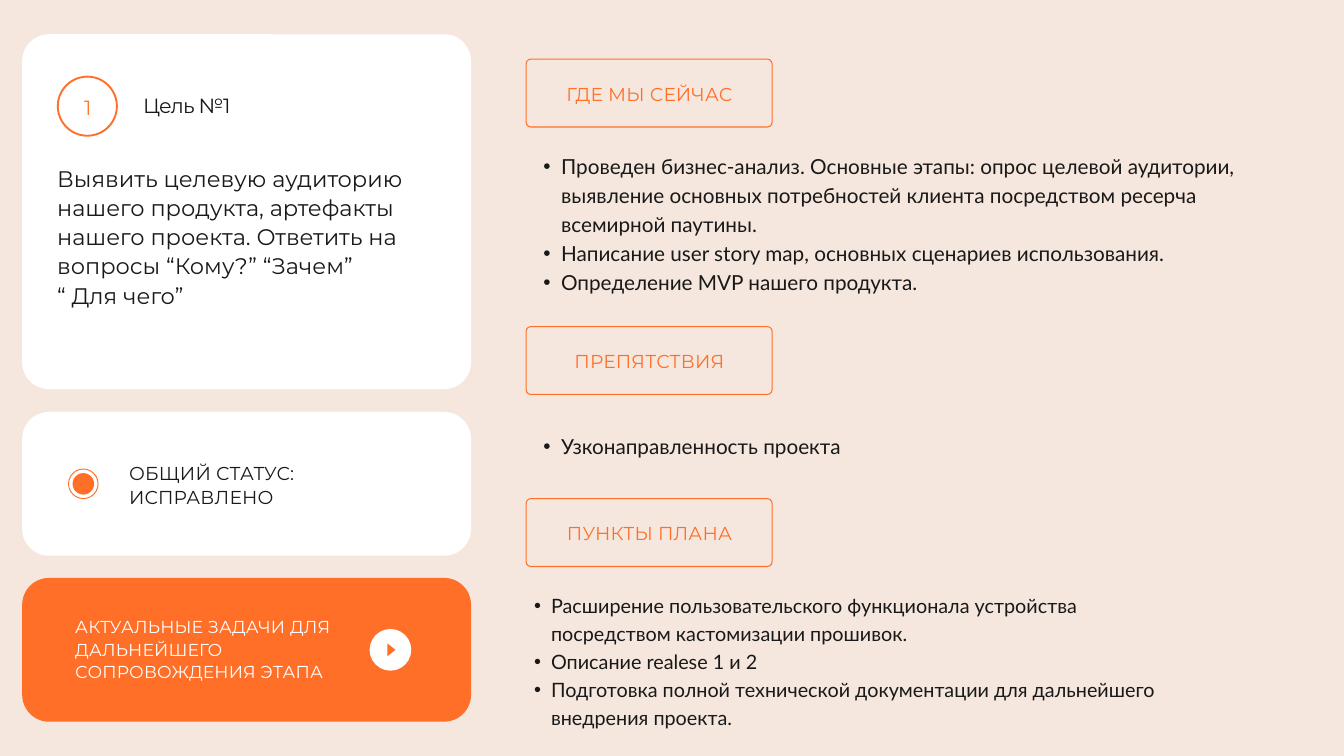
from lxml.etree import SubElement
from pptx import Presentation
from pptx.dml.color import RGBColor
from pptx.enum.shapes import MSO_SHAPE
from pptx.enum.text import MSO_ANCHOR, MSO_AUTO_SIZE, PP_ALIGN
from pptx.oxml.ns import qn
from pptx.util import Inches, Pt

ORANGE, WHITE, DARK, CREAM = "FF6F28", "FFFFFF", "191919", "F6E7DE"

# Content
GOAL_TITLE = "Цель №1"
GOAL_NUMBER = "1"
GOAL = [
    "Выявить целевую аудиторию нашего продукта, артефакты нашего проекта. "
    "Ответить на вопросы “Кому?” “Зачем”",
    "“ Для чего”",
]
STATUS = ["ОБЩИЙ СТАТУС: ИСПРАВЛЕНО"]
TASKS = ["АКТУАЛЬНЫЕ ЗАДАЧИ ДЛЯ ДАЛЬНЕЙШЕГО СОПРОВОЖДЕНИЯ ЭТАПА"]

# Cards: top, height, fill
CARDS = [(0.51, 5.28, WHITE), (6.13, 2.14, WHITE), (8.6, 2.14, ORANGE)]

# Sections: heading, frame top, list box, size, line spacing, indent, items
SECTIONS = [
    ("ГДЕ МЫ СЕЙЧАС", 0.87, (7.82, 2.23, 11.4, 2.14), 22.2, 31.1, 0.53, [
        "Проведен бизнес-анализ. Основные этапы: опрос целевой аудитории, выявление "
        "основных потребностей клиента посредством ресерча всемирной паутины.",
        "Написание user story map, основных сценариев использования.",
        "Определение MVP нашего продукта.",
    ]),
    ("ПРЕПЯТСТВИЯ", 4.85, (7.82, 6.4, 11.4, 0.43), 22.2, 31.1, 0.53, [
        "Узконаправленность проекта",
    ]),
    ("ПУНКТЫ ПЛАНА", 7.41, (7.7, 8.78, 9.6, 2.05), 21.2, 29.8, 0.5, [
        "Расширение пользовательского функционала устройства посредством "
        "кастомизации прошивок.",
        "Описание realese 1 и 2",
        "Подготовка полной технической документации для дальнейшего внедрения проекта.",
    ]),
]


def color(hex_string):
    return RGBColor.from_string(hex_string)


def add_shape(slide, kind, box, fill=None, line=None, line_width=1, radius=None):
    shape = slide.shapes.add_shape(kind, *map(Inches, box))
    shape.shadow.inherit = False
    if radius:
        shape.adjustments[0] = radius / min(box[2:])
    if fill:
        shape.fill.solid()
        shape.fill.fore_color.rgb = color(fill)
    else:
        shape.fill.background()
    if line:
        shape.line.color.rgb = color(line)
        shape.line.width = Pt(line_width)
    else:
        shape.line.fill.background()
    return shape


def add_bullet(paragraph, indent):
    properties = paragraph._p.get_or_add_pPr()
    properties.set("marL", str(Inches(indent)))
    properties.set("indent", str(-Inches(indent / 2)))
    SubElement(properties, qn("a:buFont")).set("typeface", "Arial")
    SubElement(properties, qn("a:buChar")).set("char", "•")


def write(shape, texts, size, spacing, font="Montserrat", fill=DARK,
          tracking=0, align=PP_ALIGN.LEFT, indent=None):
    frame = shape.text_frame
    frame.word_wrap = True
    frame.auto_size = MSO_AUTO_SIZE.NONE
    frame.vertical_anchor = MSO_ANCHOR.TOP
    frame.margin_left = frame.margin_right = frame.margin_top = frame.margin_bottom = 0
    for index, text in enumerate(texts):
        paragraph = frame.add_paragraph() if index else frame.paragraphs[0]
        run = paragraph.add_run()
        run.text = text
        if tracking:
            run._r.get_or_add_rPr().set("spc", str(round(tracking * 100)))
        if indent:
            add_bullet(paragraph, indent)
        paragraph.alignment = align
        paragraph.line_spacing = Pt(spacing)
        paragraph.space_before = Pt(0)
        paragraph.font.size = Pt(size)
        paragraph.font.name = font
        paragraph.font.color.rgb = color(fill)


def add_text(slide, box, texts, size, spacing, **style):
    write(slide.shapes.add_textbox(*map(Inches, box)), texts, size, spacing, **style)


def add_section(slide, heading, top, box, size, spacing, indent, items):
    add_shape(slide, MSO_SHAPE.ROUNDED_RECTANGLE, (7.83, top + 0.01, 3.66, 1.01),
              line=ORANGE, line_width=1.1, radius=0.07)
    add_text(slide, (8.13, top + 0.33, 3.07, 0.35), [heading], 20, 26,
             fill=ORANGE, tracking=0.2, align=PP_ALIGN.CENTER)
    add_text(slide, box, items, size, spacing, font="Lato", indent=indent)


def main():
    presentation = Presentation()
    presentation.slide_width = Inches(20)
    presentation.slide_height = Inches(11.25)
    slide = presentation.slides.add_slide(presentation.slide_layouts[5])
    slide.background.fill.solid()
    slide.background.fill.fore_color.rgb = color(CREAM)

    # Left column cards
    for top, height, fill in CARDS:
        add_shape(slide, MSO_SHAPE.ROUNDED_RECTANGLE, (0.33, top, 6.68, height),
                  fill=fill, radius=0.4)

    # Goal card, with the title brought in front of it
    title = slide.shapes.title
    slide.shapes._spTree.append(title._element)
    title.left, title.top, title.width, title.height = map(Inches, (2.13, 1.36, 3.1, 0.39))
    write(title, [GOAL_TITLE], 22, 28.6, tracking=-0.7)
    add_shape(slide, MSO_SHAPE.OVAL, (0.86, 1.14, 0.88, 0.88), line=ORANGE, line_width=2)
    add_text(slide, (1.05, 1.38, 0.51, 0.38), [GOAL_NUMBER], 22, 28.6,
             fill="FF7B26", tracking=-0.7, align=PP_ALIGN.CENTER)
    add_text(slide, (0.85, 2.42, 5.58, 2.32), GOAL, 24.1, 31.3)

    # Status card
    add_shape(slide, MSO_SHAPE.OVAL, (1.02, 6.98, 0.44, 0.44), line=ORANGE)
    add_shape(slide, MSO_SHAPE.OVAL, (1.08, 7.04, 0.32, 0.32), fill=ORANGE)
    add_text(slide, (1.92, 6.84, 3.07, 0.7), STATUS, 20, 26, tracking=0.2)

    # Tasks card with play button
    add_text(slide, (1.12, 9.15, 4.1, 1.01), TASKS, 18.5, 24.1, fill=WHITE, tracking=0.2)
    add_shape(slide, MSO_SHAPE.OVAL, (5.5, 9.36, 0.62, 0.62), fill=WHITE)
    arrow = add_shape(slide, MSO_SHAPE.ISOSCELES_TRIANGLE, (5.73, 9.61, 0.19, 0.12), fill=ORANGE)
    arrow.rotation = 90

    # Right column sections
    for section in SECTIONS:
        add_section(slide, *section)

    presentation.save("out.pptx")


if __name__ == "__main__":
    main()
